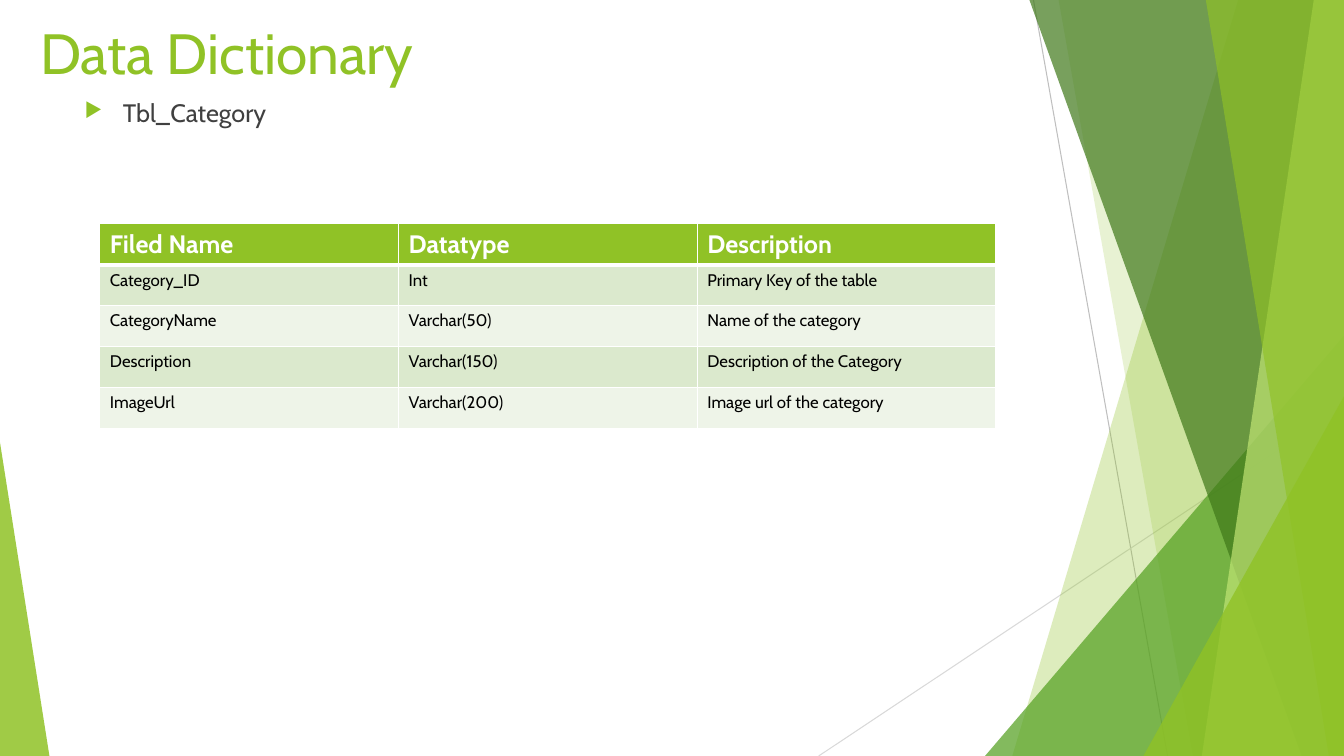
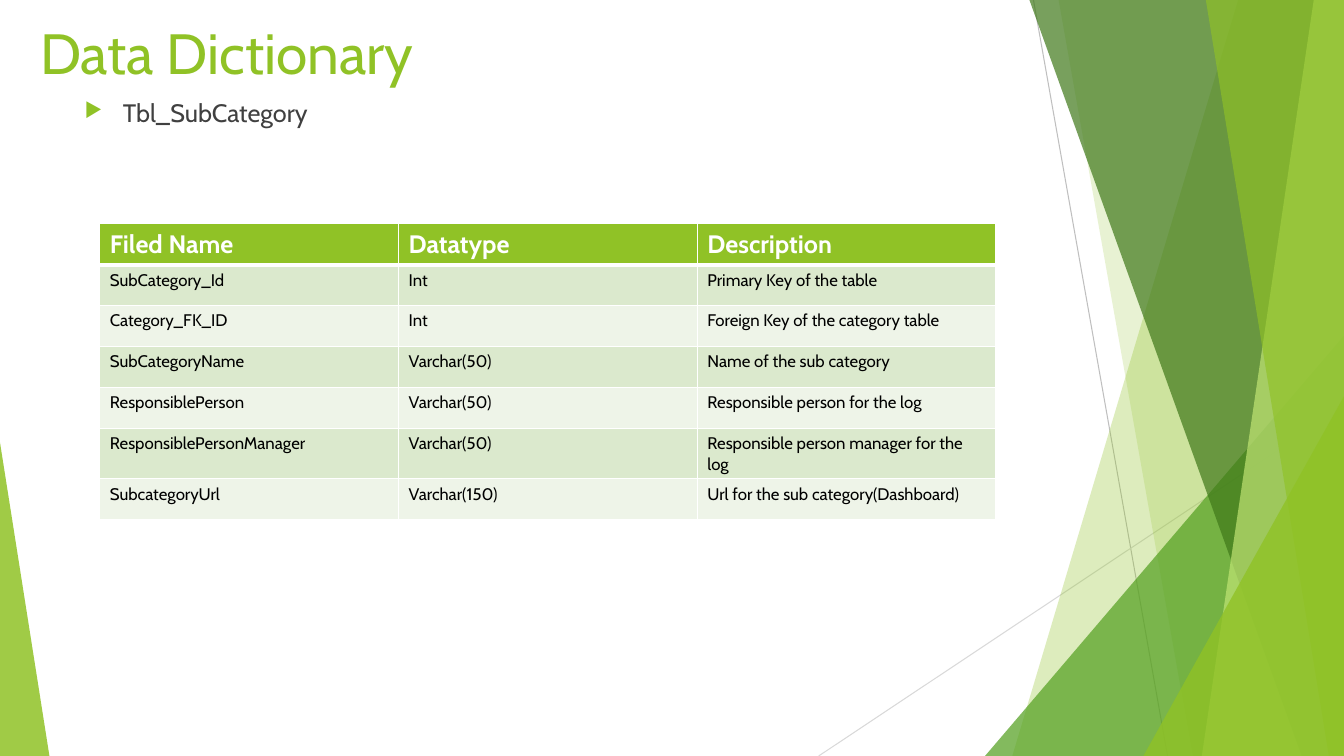
"""Build two data dictionary slides with a shared faceted green background."""
from dataclasses import dataclass

from lxml.etree import SubElement
from pptx import Presentation
from pptx.dml.color import RGBColor
from pptx.enum.shapes import MSO_CONNECTOR, MSO_SHAPE
from pptx.oxml.ns import qn
from pptx.util import Inches, Pt


@dataclass(frozen=True)
class Theme:
    font: str = "Cabin"
    accent: str = "90C226"
    leaf: str = "54A021"
    forest: str = "3F7819"
    lime: str = "C0E474"
    body: str = "404040"
    cell: str = "000000"
    white: str = "FFFFFF"
    line_dark: str = "BFBFBF"
    line_light: str = "D9D9D9"
    row_fills: tuple = ("DBE9CD", "EEF4E8")
    title_size: float = 40.5
    body_size: float = 18
    cell_size: float = 12


theme = Theme()
WIDTH, HEIGHT = 13.33, 7.5

RAYS = [
    ((10.25, 0), (11.58, HEIGHT), theme.line_dark),
    ((WIDTH, 4.03), (8.12, HEIGHT), theme.line_light),
]
FACETS = [
    ("band", (12.28, 10.04), theme.accent, 30),
    ("band", (10.5, 11.83), theme.accent, 20),
    ("triangle", (9.77, 3.33, WIDTH, 1), theme.leaf, 72),
    ("band", (10.21, 12.91), theme.forest, 70),
    ("band", (13.03, 11.92), theme.lime, 70),
    ("band", (11.96, 13.18), theme.accent, 65),
    ("triangle", (11.34, 3.93, WIDTH, 1), theme.accent, 80),
    ("triangle", (0, 4.39, 0.49, 0), theme.accent, 85),
]
HEADINGS = ("Filed Name", "Datatype", "Description")
TABLES = {
    "Tbl_Category": [
        ("Category_ID", "Int", "Primary Key of the table"),
        ("CategoryName", "Varchar(50)", "Name of the category"),
        ("Description", "Varchar(150)", "Description of the Category"),
        ("ImageUrl", "Varchar(200)", "Image url of the category"),
    ],
    "Tbl_SubCategory": [
        ("SubCategory_Id", "Int", "Primary Key of the table"),
        ("Category_FK_ID", "Int", "Foreign Key of the category table"),
        ("SubCategoryName", "Varchar(50)", "Name of the sub category"),
        ("ResponsiblePerson", "Varchar(50)", "Responsible person for the log"),
        ("ResponsiblePersonManager", "Varchar(50)", "Responsible person manager for the log"),
        ("SubcategoryUrl", "Varchar(150)", "Url for the sub category(Dashboard)"),
    ],
}


def write_text(frame, text, *, size, color, bold=False):
    frame.word_wrap = True
    para = frame.paragraphs[0]
    span = para.add_run()
    span.text = text
    span.font.name = theme.font
    span.font.size = Pt(size)
    span.font.bold = bold
    span.font.color.rgb = RGBColor.from_string(color)
    return para


def draw_background(page):
    for start, end, color in RAYS:
        ray = page.shapes.add_connector(
            MSO_CONNECTOR.STRAIGHT, *[Inches(value) for value in start + end])
        ray.line.color.rgb = RGBColor.from_string(color)
        ray.line.width = Pt(0.75)
        SubElement(ray._element.spPr, qn("a:effectLst"))
    for kind, geometry, color, opacity in FACETS:
        if kind == "band":
            top_x, bottom_x = geometry
            outline = page.shapes.build_freeform(Inches(top_x), 0)
            outline.add_line_segments([
                (Inches(x), Inches(y))
                for x, y in ((WIDTH, 0), (WIDTH, HEIGHT), (bottom_x, HEIGHT))])
            facet = outline.convert_to_shape()
        else:
            left, top, right, apex = geometry
            facet = page.shapes.add_shape(
                MSO_SHAPE.ISOSCELES_TRIANGLE, Inches(left), Inches(top),
                Inches(right - left), Inches(HEIGHT - top))
            facet.adjustments[0] = apex
        facet.shadow.inherit = False
        facet.line.fill.background()
        facet.fill.solid()
        facet.fill.fore_color.rgb = RGBColor.from_string(color)
        tint = facet._element.spPr.find(qn("a:solidFill"))[0]
        SubElement(tint, qn("a:alpha"), val=str(opacity * 1000))


deck = Presentation()
deck.slide_width, deck.slide_height = Inches(WIDTH), Inches(HEIGHT)

for table_name, fields in TABLES.items():
    page = deck.slides.add_slide(deck.slide_layouts[6])
    draw_background(page)

    title = page.shapes.add_textbox(Inches(0.3), Inches(0.13), Inches(9.2), Inches(0.79))
    write_text(title.text_frame, "Data Dictionary", size=theme.title_size, color=theme.accent)

    body = page.shapes.add_textbox(Inches(0.74), Inches(0.92), Inches(9.4), Inches(5.69))
    para = write_text(body.text_frame, table_name, size=theme.body_size, color=theme.body)
    para.space_before = Pt(10)
    layout = para._p.get_or_add_pPr()
    layout.set("marL", str(Inches(0.38)))
    layout.set("indent", str(-Inches(0.38)))
    SubElement(SubElement(layout, qn("a:buClr")), qn("a:srgbClr"), val=theme.accent)
    SubElement(layout, qn("a:buSzPct"), val="80000")
    SubElement(layout, qn("a:buChar"), char="▶")

    rows = [HEADINGS, *fields]
    row_height = Inches(2.03) // 5
    table = page.shapes.add_table(
        len(rows), len(HEADINGS), Inches(0.99), Inches(2.22),
        Inches(8.89), row_height * len(rows)).table
    table.horz_banding = False
    for row_index, values in enumerate(rows):
        header = row_index == 0
        fill = theme.accent if header else theme.row_fills[(row_index - 1) % 2]
        borders = {"L": 1, "R": 1, "T": 3 if row_index == 1 else 1, "B": 3 if header else 1}
        for column_index, value in enumerate(values):
            cell = table.cell(row_index, column_index)
            write_text(cell.text_frame, value, bold=header,
                       size=theme.body_size if header else theme.cell_size,
                       color=theme.white if header else theme.cell)
            for side, weight in borders.items():
                edge = SubElement(cell._tc.get_or_add_tcPr(), qn(f"a:ln{side}"), w=str(Pt(weight)))
                SubElement(SubElement(edge, qn("a:solidFill")), qn("a:srgbClr"), val=theme.white)
            cell.fill.solid()
            cell.fill.fore_color.rgb = RGBColor.from_string(fill)

deck.save("out.pptx")
